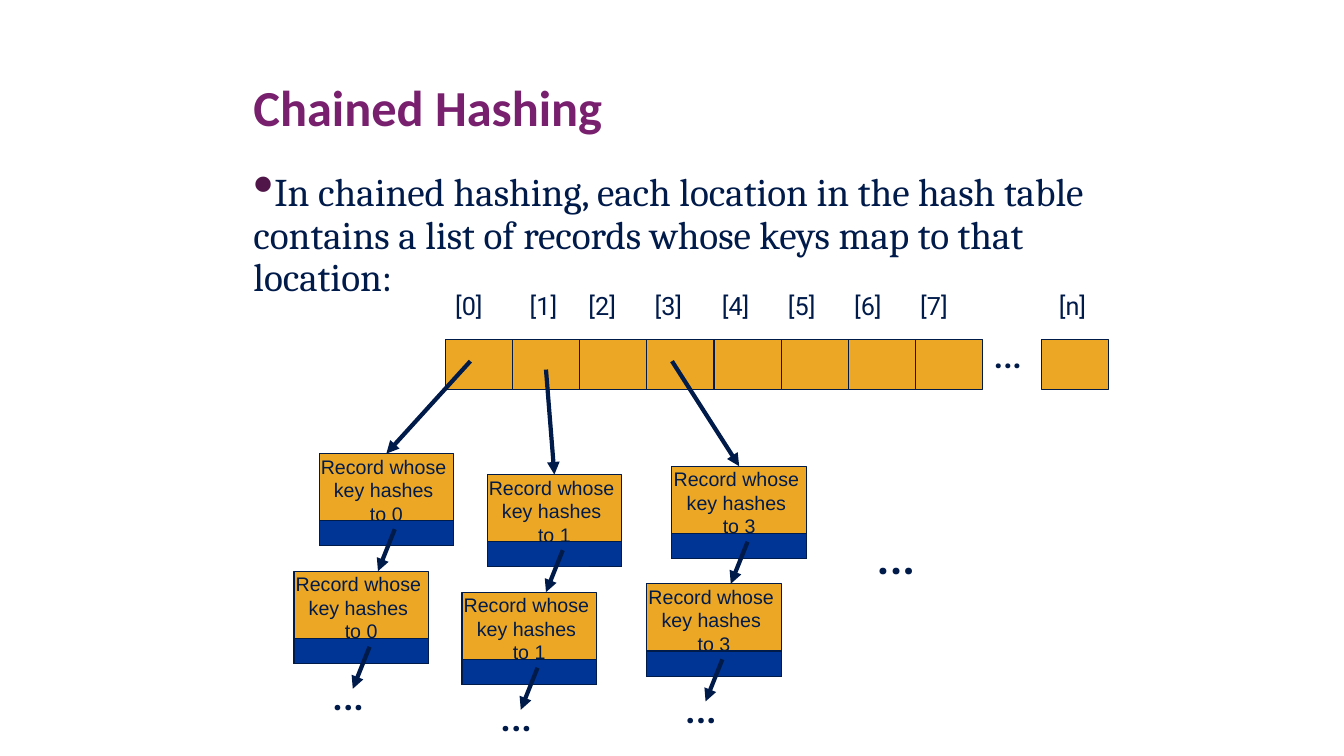
from dataclasses import dataclass
from typing import NamedTuple

from lxml import etree
from pptx import Presentation
from pptx.dml.color import RGBColor
from pptx.enum.shapes import MSO_CONNECTOR, MSO_SHAPE
from pptx.enum.text import MSO_ANCHOR, PP_ALIGN
from pptx.oxml.ns import qn
from pptx.shapes.autoshape import Shape
from pptx.slide import Slide
from pptx.util import Emu, Pt

RECTANGLE = MSO_SHAPE.RECTANGLE
STRAIGHT = MSO_CONNECTOR.STRAIGHT
TOP, BOTTOM = MSO_ANCHOR.TOP, MSO_ANCHOR.BOTTOM
CENTER = PP_ALIGN.CENTER
EMU_PER_PX = 9525


@dataclass(frozen=True)
class Theme:
    ink: str = "001A4A"
    heading: str = "78206E"
    bullet: str = "501649"
    gold: str = "ECA825"
    blue: str = "003595"
    title_size: int = 36
    body_size: int = 28
    index_size: int = 18
    record_size: int = 14
    row_dots_size: int = 32
    chain_dots_size: int = 36
    more_dots_size: int = 44
    outline: float = 0.75
    arrow: int = 3


class Frame(NamedTuple):
    left: int
    top: int
    width: int
    height: int


class Point(NamedTuple):
    x: int
    y: int


class Slot(NamedTuple):
    index: str
    cell_left: int
    label_left: int


class Chain(NamedTuple):
    key: int
    left: int
    top: int
    link_start: Point


THEME = Theme()
CELL_LEFT, CELL_TOP, CELL_WIDTH, CELL_HEIGHT = 424, 323, 64, 48
INDEX_LEFTS = (424, 495, 551, 614, 678, 741, 804, 867)
SLOTS = [
    Slot(str(number), CELL_LEFT + number * CELL_WIDTH, label_left)
    for number, label_left in enumerate(INDEX_LEFTS)
] + [Slot("n", 992, 999)]
CHAINS = (
    Chain(0, 304, 432, Point(448, 344)),
    Chain(1, 464, 452, Point(520, 352)),
    Chain(3, 640, 444, Point(640, 344)),
)
RECORDS_PER_CHAIN = 2
RECORD_WIDTH, RECORD_HEIGHT, POINTER_HEIGHT = 128, 88, 24
RECORD_STEP = Point(-24, 112)


def px(length: int) -> Emu:
    return Emu(length * EMU_PER_PX)


def style_text(box: Shape, size: int, font: str, color: str, bold: bool = False) -> None:
    for para in box.text_frame.paragraphs:
        for span in para.runs:
            span.font.size = Pt(size)
            span.font.name = font
            span.font.bold = bold
            span.font.color.rgb = RGBColor.from_string(color)


def add_text(page: Slide, frame: Frame, text: str, size: int, font: str = "Roboto",
             color: str = THEME.ink, bold: bool = False, wrap: bool = False) -> Shape:
    box = page.shapes.add_textbox(*map(px, frame))
    box.text_frame.word_wrap = wrap
    box.text_frame.text = text
    style_text(box, size, font, color, bold)
    return box


def add_block(page: Slide, frame: Frame, color: str) -> Shape:
    block = page.shapes.add_shape(RECTANGLE, *map(px, frame))
    block.shadow.inherit = False
    block.fill.solid()
    block.fill.fore_color.rgb = RGBColor.from_string(color)
    block.line.color.rgb = RGBColor.from_string(THEME.ink)
    block.line.width = Pt(THEME.outline)
    return block


def add_arrow(page: Slide, start: Point, end: Point) -> None:
    arrow = page.shapes.add_connector(STRAIGHT, *map(px, start + end))
    arrow.line.color.rgb = RGBColor.from_string(THEME.ink)
    arrow.line.width = Pt(THEME.arrow)
    properties = arrow.element.spPr
    etree.SubElement(properties.find(qn("a:ln")), qn("a:tailEnd"), type="triangle")
    etree.SubElement(properties, qn("a:effectLst"))


def add_heading(page: Slide) -> None:
    title = add_text(page, Frame(232, 16, 816, 120), "Chained Hashing", THEME.title_size,
                     "Calibri", THEME.heading, bold=True, wrap=True)
    title.text_frame.vertical_anchor = BOTTOM
    title.text_frame.paragraphs[0].line_spacing = 0.9


def add_explanation(page: Slide) -> None:
    body = add_text(
        page, Frame(232, 160, 816, 432),
        "In chained hashing, each location in the hash table contains a list of "
        "records whose keys map to that location:",
        THEME.body_size, "Cambria", wrap=True)
    para = body.text_frame.paragraphs[0]
    properties = para._p.get_or_add_pPr()
    properties.set("marL", "0")
    properties.set("indent", "0")
    bullet_color = etree.SubElement(properties, qn("a:buClr"))
    etree.SubElement(bullet_color, qn("a:srgbClr"), val=THEME.bullet)
    etree.SubElement(properties, qn("a:buSzPct"), val="150000")
    etree.SubElement(properties, qn("a:buChar"), char="•")
    para.line_spacing = 0.9
    para.space_after = Pt(6)


def add_table_row(page: Slide) -> None:
    for slot in SLOTS:
        add_block(page, Frame(slot.cell_left, CELL_TOP, CELL_WIDTH, CELL_HEIGHT), THEME.gold)
        add_text(page, Frame(slot.label_left, 272, 46, 38), f"[{slot.index}]", THEME.index_size)
    add_text(page, Frame(936, 304, 48, 61), "…", THEME.row_dots_size)


def add_record(page: Slide, key: int, left: int, top: int) -> None:
    record = add_block(page, Frame(left, top, RECORD_WIDTH, RECORD_HEIGHT), THEME.gold)
    content = record.text_frame
    content.word_wrap = False
    content.vertical_anchor = TOP
    content.margin_top = px(1)
    content.text = f"Record whose \nkey hashes \nto {key}"
    for para in content.paragraphs:
        para.alignment = CENTER
    style_text(record, THEME.record_size, "Arial", THEME.ink)
    pointer_top = top + RECORD_HEIGHT - POINTER_HEIGHT
    add_block(page, Frame(left, pointer_top, RECORD_WIDTH, POINTER_HEIGHT), THEME.blue)
    add_arrow(page, Point(left + 72, top + 72), Point(left + 56, top + RECORD_STEP.y))


def add_chain(page: Slide, chain: Chain) -> None:
    for position in range(RECORDS_PER_CHAIN):
        add_record(page, chain.key, chain.left + position * RECORD_STEP.x,
                   chain.top + position * RECORD_STEP.y)
    add_text(page, Frame(chain.left + 2, chain.top + 192, 52, 68), "…", THEME.chain_dots_size)
    add_arrow(page, chain.link_start, Point(chain.left + RECORD_WIDTH // 2, chain.top))


def main() -> None:
    deck = Presentation()
    deck.slide_width, deck.slide_height = px(1280), px(720)
    page = deck.slides.add_slide(deck.slide_layouts[6])
    add_heading(page)
    add_explanation(page)
    add_table_row(page)
    for chain in CHAINS:
        add_chain(page, chain)
    add_text(page, Frame(824, 484, 59, 81), "…", THEME.more_dots_size)
    deck.save("out.pptx")


if __name__ == "__main__":
    main()
